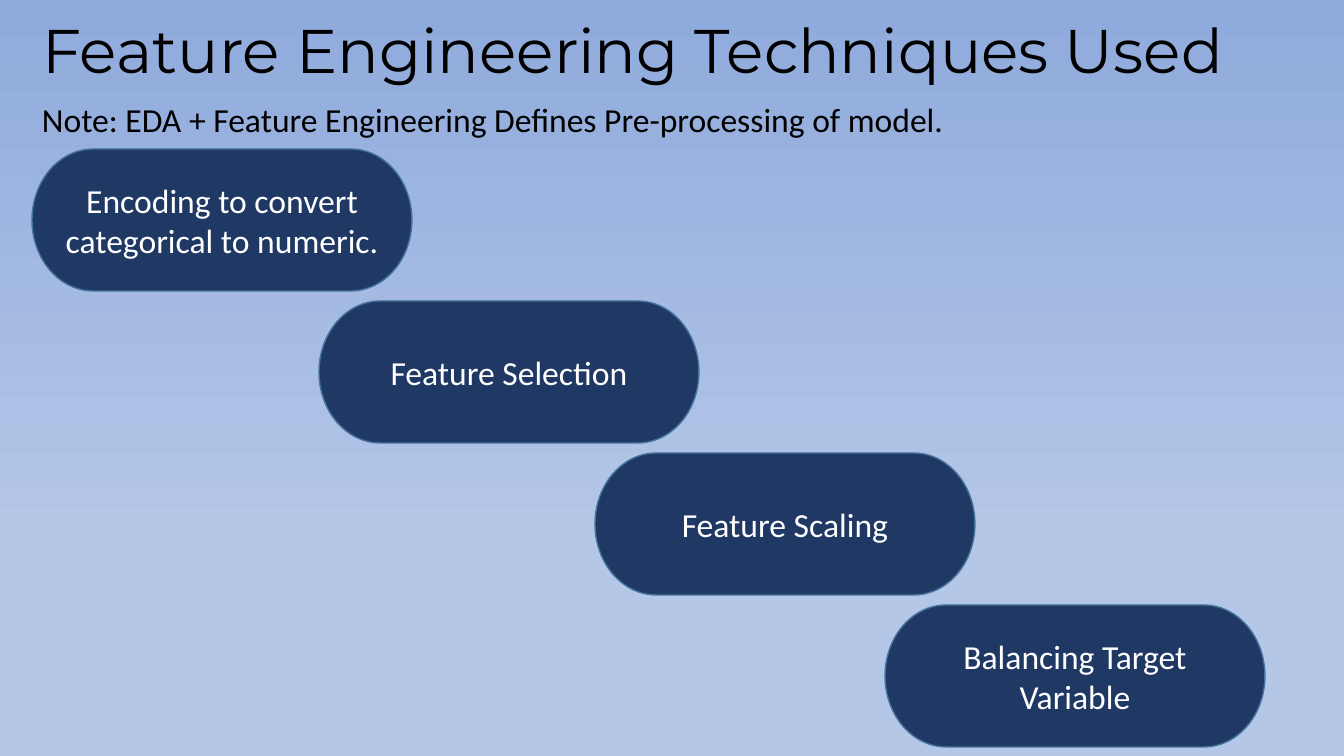
from dataclasses import dataclass

import pptx
import pptx.dml.color
import pptx.enum.shapes
import pptx.enum.text
import pptx.util

ALIGN = pptx.enum.text.PP_ALIGN
ANCHOR = pptx.enum.text.MSO_ANCHOR
AUTO_SIZE = pptx.enum.text.MSO_AUTO_SIZE


@dataclass(frozen=True)
class Theme:
    sky_top: str = "8FAADC"
    sky_bottom: str = "B4C7E7"
    navy: str = "203864"
    outline: str = "43739E"
    dark_text: str = "000000"
    light_text: str = "FFFFFF"
    title_font: str = "Montserrat"
    body_font: str = "Calibri"
    title_size: int = 44
    body_size: int = 24


def px(length):
    return pptx.util.Emu(round(length * 914400 / 100.8))


def rgb(code):
    return pptx.dml.color.RGBColor.from_string(code)


class SlideBuilder:
    """Draws styled elements on the current slide."""

    def __init__(self, slide, theme):
        self.slide = slide
        self.theme = theme

    def background(self):
        fill = self.slide.background.fill
        fill.gradient()
        fill.gradient_angle = 270
        stops = ((0.01, self.theme.sky_top), (0.71, self.theme.sky_bottom))
        for stop, (position, color) in zip(fill.gradient_stops, stops):
            stop.position = position
            stop.color.rgb = rgb(color)

    def set_text(self, shape, text, font, size, color, align, anchor):
        frame = shape.text_frame
        frame.text = text
        frame.word_wrap = True
        frame.vertical_anchor = anchor
        para = frame.paragraphs[0]
        para.alignment = align
        span = para.runs[0]
        span.font.name = font
        span.font.size = pptx.util.Pt(size)
        span.font.color.rgb = rgb(color)

    def title(self, text, left, top, width, height):
        box = self.slide.shapes.title
        box.left, box.top, box.width, box.height = map(px, (left, top, width, height))
        self.set_text(box, text, self.theme.title_font, self.theme.title_size,
                      self.theme.dark_text, ALIGN.LEFT, ANCHOR.MIDDLE)
        box.text_frame.auto_size = AUTO_SIZE.NONE
        box.text_frame.paragraphs[0].line_spacing = 0.9

    def note(self, text, left, top, width, height):
        box = self.slide.shapes.add_textbox(*map(px, (left, top, width, height)))
        self.set_text(box, text, self.theme.body_font, self.theme.body_size,
                      self.theme.dark_text, ALIGN.LEFT, ANCHOR.TOP)
        box.text_frame.auto_size = AUTO_SIZE.SHAPE_TO_FIT_TEXT

    def technique(self, text, left, top, width, height):
        pill = self.slide.shapes.add_shape(
            pptx.enum.shapes.MSO_SHAPE.FLOWCHART_TERMINATOR,
            *map(px, (left, top, width, height)))
        pill.shadow.inherit = False
        pill.fill.solid()
        pill.fill.fore_color.rgb = rgb(self.theme.navy)
        pill.line.color.rgb = rgb(self.theme.outline)
        pill.line.width = pptx.util.Pt(1)
        self.set_text(pill, text, self.theme.body_font, self.theme.body_size,
                      self.theme.light_text, ALIGN.CENTER, ANCHOR.MIDDLE)


def main():
    deck = pptx.Presentation()
    deck.slide_width, deck.slide_height = px(1344), px(756)
    page = SlideBuilder(deck.slides.add_slide(deck.slide_layouts[5]), Theme())
    page.background()
    page.title("Feature Engineering Techniques Used", 32, 0, 1312, 108)
    techniques = (
        (32, "Encoding to convert categorical to numeric."),
        (319, "Feature Selection"),
        (595, "Feature Scaling"),
        (885, "Balancing Target Variable"),
    )
    for row, (left, text) in enumerate(techniques):
        page.technique(text, left, 149 + 152 * row, 380, 142)
    page.note("Note: EDA + Feature Engineering Defines Pre-processing of model.",
              32, 94, 1120, 50)
    deck.save("out.pptx")


if __name__ == "__main__":
    main()
